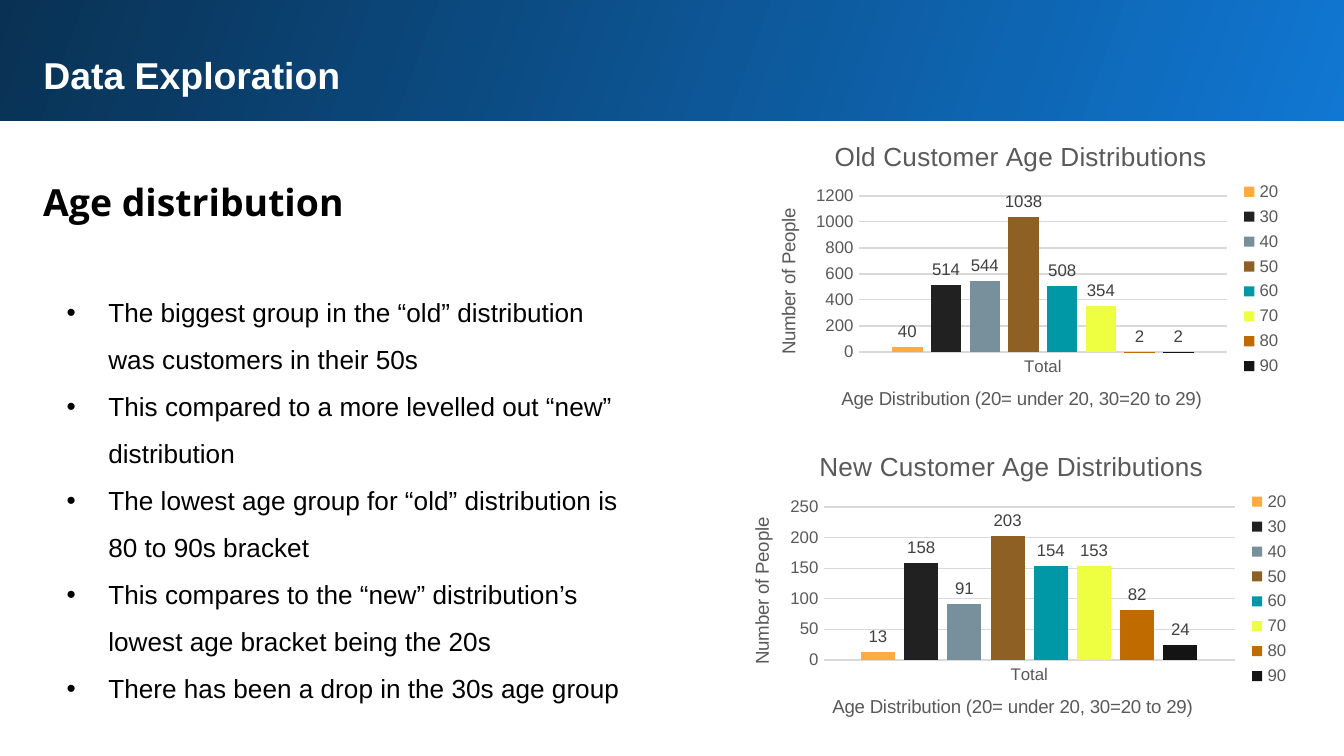
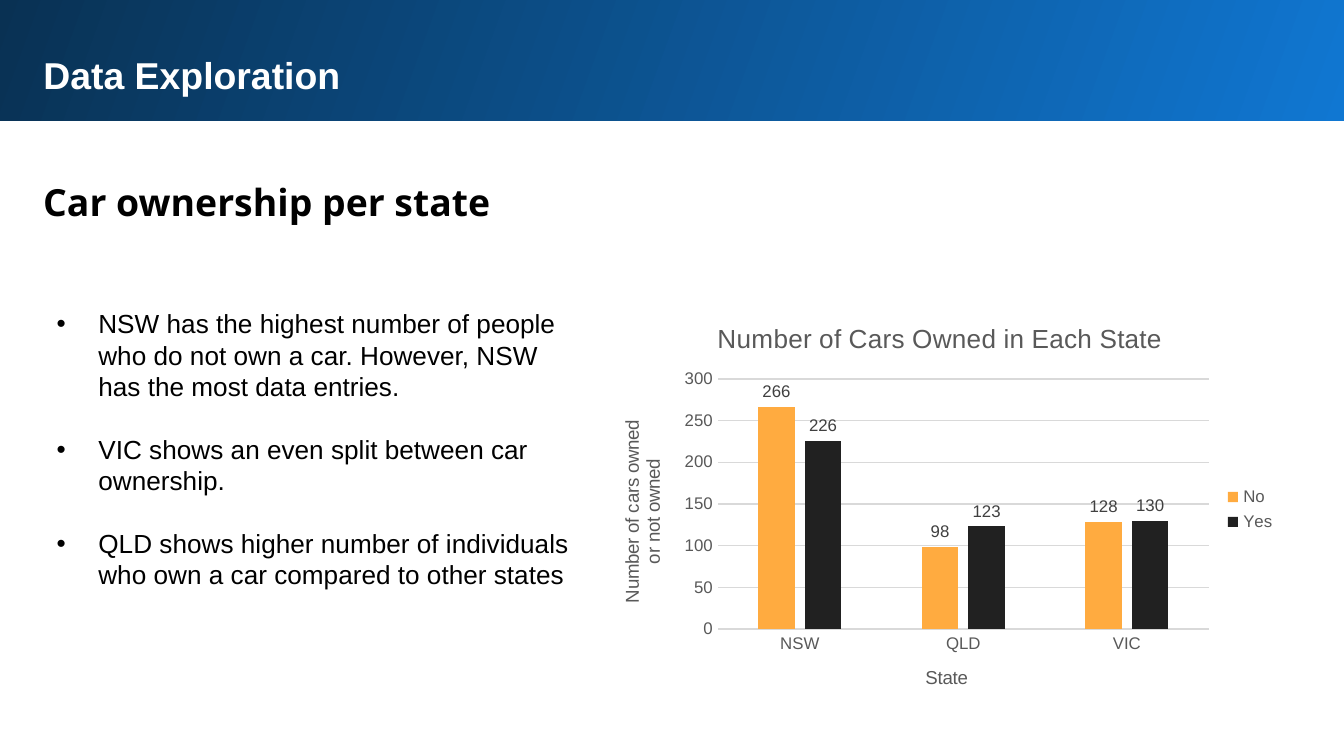
from pptx import Presentation
from pptx import util as u
from pptx.chart.data import CategoryChartData
from pptx.dml.color import RGBColor
from pptx.enum import chart as ch, shapes, text
from pptx.oxml import parse_xml
from pptx.oxml.ns import nsdecls, qn
from lxml import etree

SCALE = 9144000 / 1344  # EMU per pixel
WHITE = RGBColor(0xFF, 0xFF, 0xFF)
BLACK = RGBColor(0, 0, 0)
BLUE = RGBColor(0x10, 0x77, 0xD2)
NAVY = RGBColor(0x09, 0x31, 0x53)
GREY = RGBColor(0x59, 0x59, 0x59)
LABEL = RGBColor(0x40, 0x40, 0x40)
GRID = RGBColor(0xD9, 0xD9, 0xD9)
SERIES = [RGBColor.from_string(c) for c in (
    "FFAB40", "212121", "78909C", "8F6024", "0097A7", "EEFF41", "BF6B00", "141414")]

HEADING = dict(name="Arial", size=u.Pt(20), bold=True)
SUBHEAD = dict(name="Open Sans", size=u.Pt(20), bold=True)
BODY = dict(name="Arial", size=u.Pt(14), bold=False)
CHART_TITLE = dict(name="Arial", size=u.Pt(14), bold=False)
AXIS_TITLE = dict(name="Arial", size=u.Pt(10), bold=False)
TICKS = dict(name="Arial", size=u.Pt(9), bold=False)

AGES = ["20", "30", "40", "50", "60", "70", "80", "90"]
AGE_AXIS = "Age Distribution (20= under 20, 30=20 to 29)"
OLD = [40, 514, 544, 1038, 508, 354, 2, 2]
NEW = [13, 158, 91, 203, 154, 153, 82, 24]

# box and plot are left, top, width, height in pixels
SLIDES = [
    dict(subhead="Age distribution", body_box=(60, 274, 570, 441), spacing=1.5, gap=0,
         bullets=["The biggest group in the “old” distribution was customers in their 50s",
                  "This compared to a more levelled out “new” distribution",
                  "The lowest age group for “old” distribution is 80 to 90s bracket",
                  "This compares to the “new” distribution’s lowest age bracket being the 20s",
                  "There has been a drop in the 30s age group"],
         charts=[dict(box=(747, 121, 548, 316), plot=(859, 196, 368, 156),
                      title="Old Customer Age Distributions", x=AGE_AXIS,
                      y="Number of People", cats=["Total"], top=1200, step=200,
                      series=[(a, [v]) for a, v in zip(AGES, OLD)]),
                 dict(box=(720, 431, 583, 316), plot=(824, 507, 411, 153),
                      title="New Customer Age Distributions", x=AGE_AXIS,
                      y="Number of People", cats=["Total"], top=250, step=50,
                      series=[(a, [v]) for a, v in zip(AGES, NEW)])]),
    dict(subhead="Car ownership per state", body_box=(50, 301, 527, 298), spacing=1.0, gap=16.8,
         bullets=["NSW has the highest number of people who do not own a car. "
                  "However, NSW has the most data entries.",
                  "VIC shows an even split between car ownership.",
                  "QLD shows higher number of individuals who own a car compared to other states"],
         charts=[dict(box=(591, 301, 698, 417), plot=(718, 379, 491, 250),
                      title="Number of Cars Owned in Each State", x="State",
                      y="Number of cars owned\nor not owned",
                      cats=["NSW", "QLD", "VIC"], top=300, step=50,
                      series=[("No", [266, 98, 128]), ("Yes", [226, 123, 130])])]),
]


def px(*values):
    """Turn pixels into EMU lengths."""
    return [u.Emu(round(v * SCALE)) for v in values]


def style(font, formats, color):
    """Set font attributes from a dict, and the colour."""
    for key, value in formats.items():
        setattr(font, key, value)
    font.color.rgb = color


prs = Presentation()
prs.slide_width, prs.slide_height = px(1344, 756)

for page in SLIDES:
    slide = prs.slides.add_slide(prs.slide_layouts[1])

    band = slide.shapes.add_shape(shapes.MSO_SHAPE.RECTANGLE, *px(-3, -3, 1350, 124))
    band.shadow.inherit = False
    band.line.fill.background()
    band.fill.gradient()
    band.fill.gradient_angle = 160
    for stop, color, position in zip(band.fill.gradient_stops, (BLUE, NAVY), (0, 1)):
        stop.color.rgb, stop.position = color, position
    slide.shapes._spTree.insert(2, band._element)  # behind the title

    title, body = slide.placeholders
    subhead = slide.shapes.add_textbox(*px(30, 159, 1259, 75))
    for sp, box, inset in ((title, (30, 39, 1259, 69), 0.1),
                           (subhead, (30, 159, 1259, 75), 0.1),
                           (body, page["body_box"], 0.05)):
        sp.left, sp.top, sp.width, sp.height = px(*box)
        tf = sp.text_frame
        frame = dict(word_wrap=True, vertical_anchor=text.MSO_ANCHOR.TOP,
                     auto_size=text.MSO_AUTO_SIZE.SHAPE_TO_FIT_TEXT)
        for side in ("left", "top", "right", "bottom"):
            frame["margin_" + side] = u.Inches(inset)
        for key, value in frame.items():
            setattr(tf, key, value)

    for sp, words, formats, color in ((title, "Data Exploration", HEADING, WHITE),
                                      (subhead, page["subhead"], SUBHEAD, BLACK)):
        p = sp.text_frame.paragraphs[0]
        p.alignment = text.PP_ALIGN.LEFT
        r = p.add_run()
        r.text = words
        style(r.font, formats, color)
    subhead.text_frame.paragraphs[0].line_spacing = 1.15

    tf = body.text_frame
    for i, words in enumerate(page["bullets"]):
        p = tf.add_paragraph() if i else tf.paragraphs[0]
        p.line_spacing = page["spacing"]
        p.space_before = u.Pt(page["gap"] if i else 0)
        pPr = p._p.get_or_add_pPr()
        pPr.set("marL", str(u.Inches(0.31)))
        pPr.set("indent", str(-u.Inches(0.31)))
        etree.SubElement(pPr, qn("a:buFont")).set("typeface", "Arial")
        etree.SubElement(pPr, qn("a:buChar")).set("char", "•")
        r = p.add_run()
        r.text = words
        style(r.font, BODY, BLACK)

    for spec in page["charts"]:
        data = CategoryChartData()
        data.categories = spec["cats"]
        for name, values in spec["series"]:
            data.add_series(name, values)
        chart = slide.shapes.add_chart(ch.XL_CHART_TYPE.COLUMN_CLUSTERED,
                                       *px(*spec["box"]), data).chart
        style(chart.font, AXIS_TITLE, BLACK)
        cat, val = chart.category_axis, chart.value_axis
        for owner, words, formats in ((chart, spec["title"], CHART_TITLE),
                                      (cat, spec["x"], AXIS_TITLE),
                                      (val, spec["y"], AXIS_TITLE)):
            owner.has_title = True
            heading = owner.chart_title if owner is chart else owner.axis_title
            heading.text_frame.text = words
            for p in heading.text_frame.paragraphs:
                style(p.runs[0].font, formats, GREY)
        chart.chart_title.include_in_layout = False

        for axis in (cat, val):
            axis.major_tick_mark = axis.minor_tick_mark = ch.XL_TICK_MARK.NONE
            style(axis.tick_labels.font, TICKS, GREY)
        val.minimum_scale, val.maximum_scale, val.major_unit = 0, spec["top"], spec["step"]
        val.format.line.fill.background()
        for line in (cat.format.line, val.major_gridlines.format.line):
            line.color.rgb, line.width = GRID, u.Pt(0.75)

        chart.has_legend = True
        chart.legend.position = ch.XL_LEGEND_POSITION.RIGHT
        chart.legend.include_in_layout = False
        style(chart.legend.font, TICKS, GREY)

        plot = chart.plots[0]
        plot.gap_width, plot.overlap, plot.vary_by_categories = 219, -27, False
        for series, color in zip(plot.series, SERIES):
            series.format.fill.solid()
            series.format.fill.fore_color.rgb = color
            labels = series.data_labels
            labels.show_value = True
            labels.position = ch.XL_LABEL_POSITION.OUTSIDE_END
            style(labels.font, TICKS, LABEL)

        # inner plot area as fractions of the chart
        left, top, width, height = spec["box"]
        x, y, w, h = spec["plot"]
        parts = dict(x=(x - left) / width, y=(y - top) / height, w=w / width, h=h / height)
        area = chart._chartSpace.chart.plotArea
        for old in area.findall(qn("c:layout")):
            area.remove(old)
        area.insert(0, parse_xml(
            f'<c:layout {nsdecls("c")}><c:manualLayout><c:layoutTarget val="inner"/>'
            '<c:xMode val="edge"/><c:yMode val="edge"/>'
            + "".join(f'<c:{k} val="{v:.3f}"/>' for k, v in parts.items())
            + "</c:manualLayout></c:layout>"))

prs.save("out.pptx")
